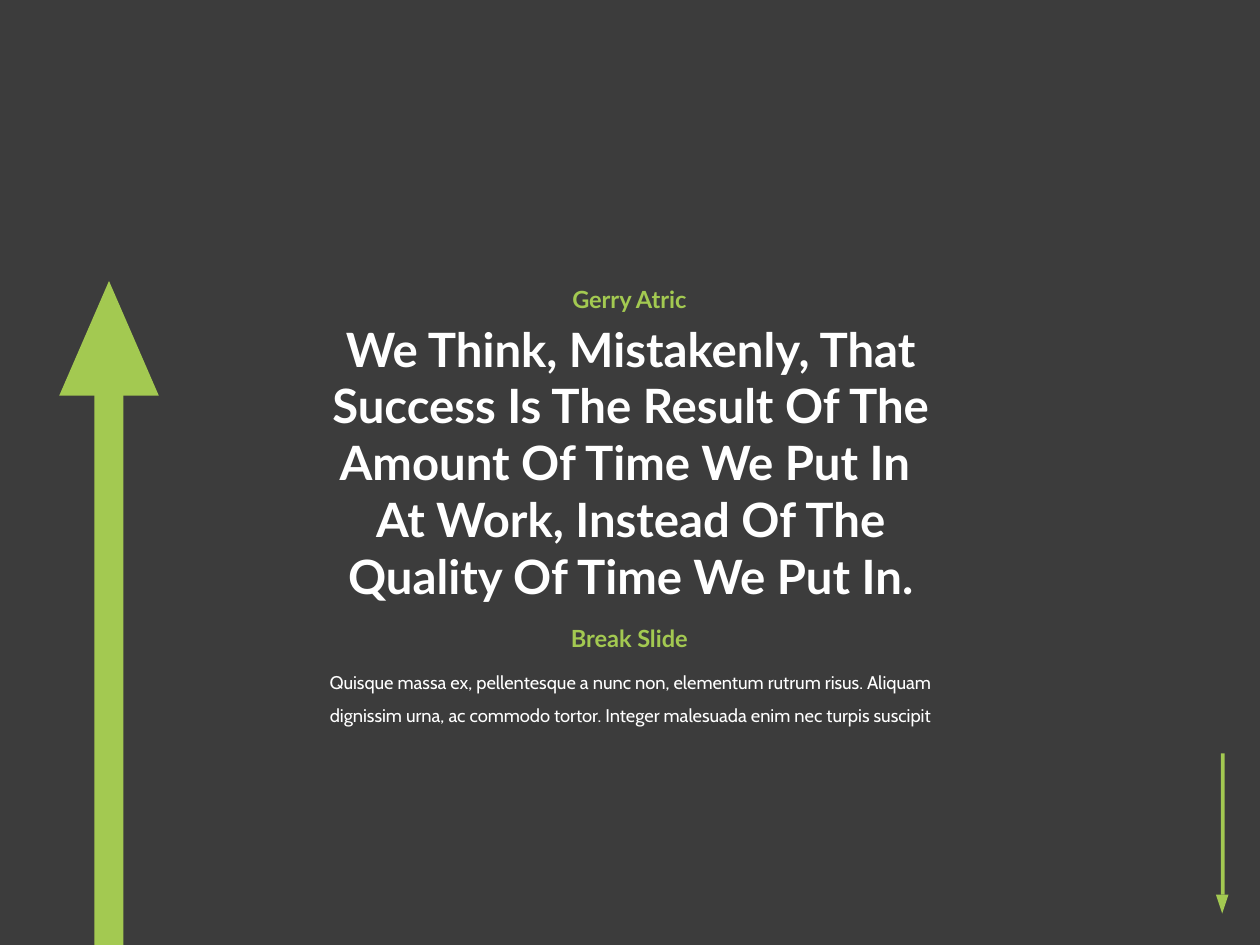
from lxml import etree
from pptx import Presentation
from pptx.dml.color import RGBColor
from pptx.enum.shapes import MSO_SHAPE
from pptx.enum.text import MSO_AUTO_SIZE, PP_ALIGN
from pptx.oxml.ns import qn
from pptx.util import Inches, Pt

COLORS = {"background": "3C3C3C", "accent": "A3C951", "text": "FFFFFF"}

deck = Presentation()
deck.slide_width, deck.slide_height = Inches(10), Inches(7.5)
slide = deck.slides.add_slide(deck.slide_layouts[6])
slide.background.fill.solid()
slide.background.fill.fore_color.rgb = RGBColor.from_string(COLORS["background"])


def add_block(kind, box, color, rotation=0):
    """Add a plain filled shape without outline; box is left, top, width, height in inches."""
    block = slide.shapes.add_shape(kind, *map(Inches, box))
    block.shadow.inherit = False
    block.fill.solid()
    block.fill.fore_color.rgb = RGBColor.from_string(COLORS[color])
    block.line.fill.background()
    block.rotation = rotation
    return block


def add_centred_text(box, lines, font_name, size, color, bold=False, spacing=None):
    frame = slide.shapes.add_textbox(*map(Inches, box)).text_frame
    frame.word_wrap = True
    frame.auto_size = MSO_AUTO_SIZE.SHAPE_TO_FIT_TEXT
    frame.text = "\n".join(lines)
    for paragraph in frame.paragraphs:
        paragraph.alignment = PP_ALIGN.CENTER
        if spacing:
            paragraph.line_spacing = spacing
        for run in paragraph.runs:
            run.font.name = font_name
            run.font.size = Pt(size)
            run.font.bold = bold
            run.font.color.rgb = RGBColor.from_string(COLORS[color])


# Small arrow pointing down
add_block(MSO_SHAPE.RECTANGLE, (9.69, 5.98, 0.03, 1.12), "accent")
add_block(MSO_SHAPE.ISOSCELES_TRIANGLE, (9.65, 7.1, 0.1, 0.15), "accent", rotation=180)

# Translucent panel behind the quote
panel = add_block(MSO_SHAPE.RECTANGLE, (0.64, 0.64, 8.72, 6.86), "background")
panel_color = panel.fill._xPr.find(qn("a:solidFill"))[0]
etree.SubElement(panel_color, qn("a:alpha"), val="85000")

# Large arrow rising from the bottom edge
add_block(MSO_SHAPE.RECTANGLE, (0.75, 3.13, 0.23, 4.6), "accent")
add_block(MSO_SHAPE.ISOSCELES_TRIANGLE, (0.47, 2.23, 0.79, 0.91), "accent")

quote = [
    "We Think, Mistakenly, That",
    "Success Is The Result Of The",
    "Amount Of Time We Put In ",
    "At Work, Instead Of The",
    "Quality Of Time We Put In.",
]
body = (
    "Quisque massa ex, pellentesque a nunc non, elementum rutrum risus. Aliquam "
    "dignissim urna, ac commodo tortor. Integer malesuada enim nec turpis suscipit"
)
add_centred_text((2.02, 2.49, 5.97, 2.37), quote, "Lato", 27, "text", bold=True)
add_centred_text((4.09, 2.21, 1.81, 0.33), ["Gerry Atric"], "Lato", 13.5, "accent", bold=True)
add_centred_text((2.3, 5.19, 5.41, 0.6), [body], "Cabin", 10.5, "text", spacing=1.5)
add_centred_text((4.16, 4.9, 1.67, 0.33), ["Break Slide"], "Lato", 13.5, "accent", bold=True)

deck.save("out.pptx")
